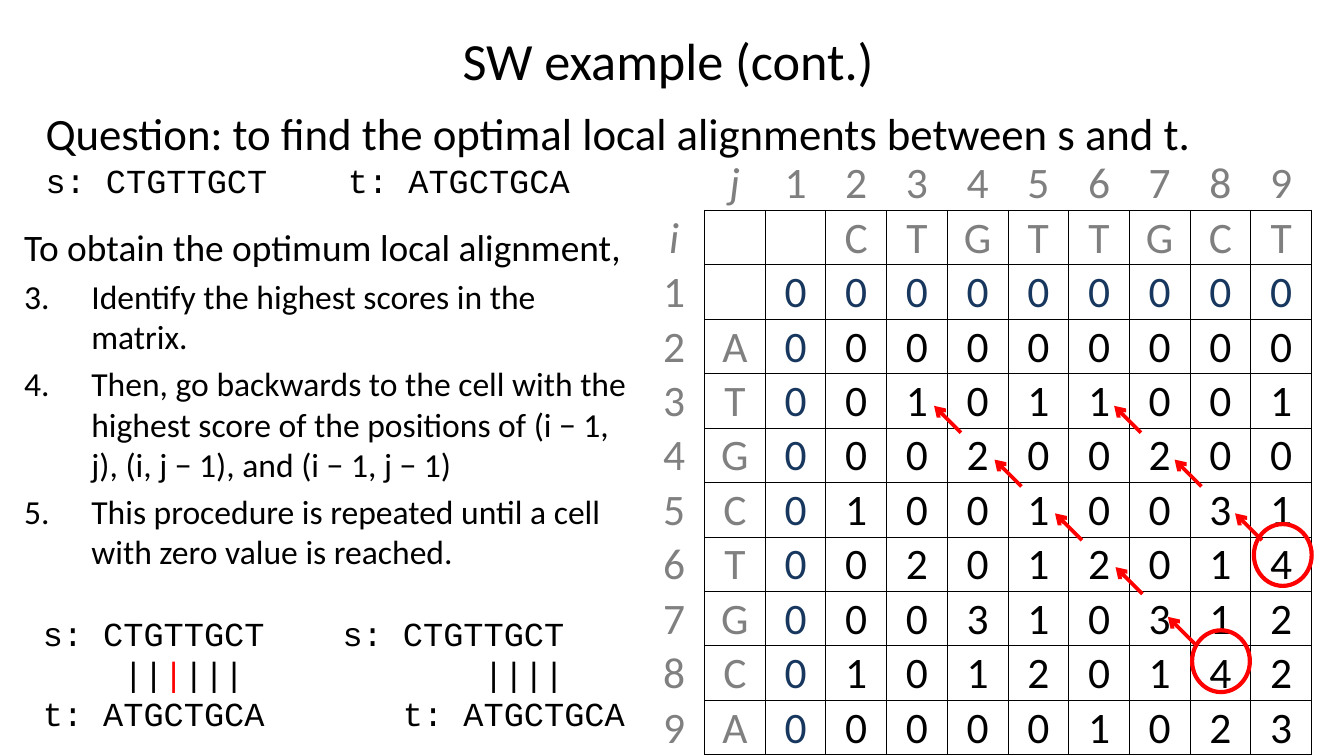
from lxml.etree import SubElement
from pptx import Presentation
from pptx.dml.color import RGBColor
from pptx.enum.shapes import MSO_CONNECTOR, MSO_SHAPE
from pptx.enum.text import MSO_ANCHOR, MSO_AUTO_SIZE, PP_ALIGN
from pptx.oxml.ns import qn
from pptx.util import Inches, Pt

COLORS = {"text": "000000", "index": "7F7F7F", "label": "808080", "zero": "17375E", "trace": "FF0000"}
MONO = "Courier New"
CHAR = 0.15
MATRIX = [
    " j123456789",
    "i  CTGTTGCT",
    "1 000000000",
    "2A000000000",
    "3T001011001",
    "4G000200200",
    "5C010010031",
    "6T002012014",
    "7G000310312",
    "8C010120142",
    "9A000001023",
]
STEPS = [
    "Identify the highest scores in the matrix.",
    "Then, go backwards to the cell with the highest score of the positions of "
    "(i − 1, j), (i, j − 1), and (i − 1, j − 1)",
    "This procedure is repeated until a cell with zero value is reached.",
]


class SlideBuilder:
    """Holds the style and the current slide, and adds each kind of element."""

    def __init__(self, prs):
        self.s = prs.slides.add_slide(prs.slide_layouts[1])

    def place(self, sp, box):
        for name, value in zip(("left", "top", "width", "height"), box):
            setattr(sp, name, Inches(value))

    def run(self, p, text, size, font="Calibri", color="text", italic=False):
        r = p.add_run()
        r.text = text
        for name, value in {"size": Pt(size), "name": font, "italic": italic}.items():
            setattr(r.font, name, value)
        r.font.color.rgb = RGBColor.from_string(COLORS[color])

    def indent(self, p, left, first=0):
        pPr = p._p.get_or_add_pPr()
        pPr.set("marL", str(Inches(left)))
        pPr.set("indent", str(Inches(first)))
        return pPr

    def title(self, text, box):
        sp = self.s.shapes.title
        self.place(sp, box)
        self.run(sp.text_frame.paragraphs[0], text, 28)

    def numbered_body(self, lead, items, start, box):
        sp = self.s.placeholders[1]
        self.place(sp, box)
        tf = sp.text_frame
        tf.auto_size = MSO_AUTO_SIZE.NONE
        p = tf.paragraphs[0]
        SubElement(self.indent(p, 0), qn("a:buNone"))
        self.run(p, lead, 20)
        for item in items:
            p = tf.add_paragraph()
            pPr = self.indent(p, 0.5, -0.5)
            SubElement(pPr, qn("a:buFont"), typeface="+mj-lt")
            SubElement(pPr, qn("a:buAutoNum"), type="arabicPeriod", startAt=str(start))
            self.run(p, item, 18)

    def text_box(self, box, wrap):
        tf = self.s.shapes.add_textbox(*map(Inches, box)).text_frame
        tf.word_wrap = wrap
        tf.auto_size = MSO_AUTO_SIZE.SHAPE_TO_FIT_TEXT
        return tf

    def question(self, text, s_seq, t_seq, box):
        tf = self.text_box(box, True)
        self.run(tf.paragraphs[0], text, 24)
        p = tf.add_paragraph()
        tabs = SubElement(p._p.get_or_add_pPr(), qn("a:tabLst"))
        SubElement(tabs, qn("a:tab"), pos=str(Inches(15 * CHAR)), algn="l")
        self.run(p, f"{s_seq}\t{t_seq}", 18, MONO)

    def alignment(self, lines, box):
        tf = self.text_box(box, False)
        for i, (chars, runs) in enumerate(lines):
            p = tf.add_paragraph() if i else tf.paragraphs[0]
            self.indent(p, chars * CHAR)
            for text, color in runs:
                self.run(p, text, 18, MONO, color)

    def cell_color(self, row, col):
        if row < 2:
            return "index"
        if col < 2:
            return "label"
        return "zero" if row == 2 or col == 2 else "text"

    def borders(self, cell, row, col):
        tcPr = cell._tc.get_or_add_tcPr()
        inside = row > 0 and col > 0
        shown = {"L": inside, "R": row > 0, "T": inside, "B": col > 0}
        for side, visible in shown.items():
            ln = SubElement(tcPr, qn(f"a:ln{side}"), w=str(Pt(0.5)))
            if visible:
                fill = SubElement(ln, qn("a:solidFill"))
                SubElement(fill, qn("a:srgbClr"), val=COLORS["text"])
            else:
                SubElement(ln, qn("a:noFill"))

    def matrix(self, rows, box, row_height):
        n = len(rows[0])
        table = self.s.shapes.add_table(len(rows), n, *map(Inches, box)).table
        table.first_row = table.horz_banding = False
        for column in table.columns:
            column.width = Inches(box[2] / n)
        cell_format = {"margin_left": Inches(0.01), "margin_top": Inches(0.01),
                       "margin_right": Inches(0.01), "margin_bottom": 0,
                       "vertical_anchor": MSO_ANCHOR.MIDDLE}
        for i, row in enumerate(rows):
            table.rows[i].height = Inches(row_height)
            for j, text in enumerate(row):
                cell = table.cell(i, j)
                for name, value in cell_format.items():
                    setattr(cell, name, value)
                self.borders(cell, i, j)
                cell.fill.background()
                if text != " ":
                    p = cell.text_frame.paragraphs[0]
                    p.alignment = PP_ALIGN.CENTER
                    self.run(p, text, 23.3, color=self.cell_color(i, j), italic=text in "ij")

    def stroke(self, sp, width):
        sp.line.color.rgb = RGBColor.from_string(COLORS["trace"])
        sp.line.width = Pt(width)

    def circle(self, left, top):
        sp = self.s.shapes.add_shape(MSO_SHAPE.OVAL, *map(Inches, (left, top, 0.43, 0.46)))
        sp.shadow.inherit = False
        sp.fill.background()
        self.stroke(sp, 2.25)

    def arrow(self, x, y, length=0.2):
        ends = map(Inches, (x, y, x - length, y - length))
        sp = self.s.shapes.add_connector(MSO_CONNECTOR.STRAIGHT, *ends)
        self.stroke(sp, 2)
        SubElement(sp.line._get_or_add_ln(), qn("a:tailEnd"), type="arrow")
        SubElement(sp._element.spPr, qn("a:effectLst"))


def main():
    prs = Presentation()
    prs.slide_width, prs.slide_height = Inches(10), Inches(10 * 9 / 16)
    s_seq, t_seq = "s: CTGTTGCT", "t: ATGCTGCA"
    slide = SlideBuilder(prs)
    slide.title("SW example (cont.)", (0.72, 0.08, 8.5, 0.73))
    slide.numbered_body("To obtain the optimum local alignment,", STEPS, 3, (0.08, 1.62, 4.75, 2.73))
    slide.matrix(MATRIX, (4.79, 1.16, 4.97, 4.36), 0.38)
    slide.question("Question: to find the optimal local alignments between s and t.",
                   s_seq, t_seq, (0.24, 0.74, 8.85, 0.81))
    for left, top in ((8.87, 4.69), (9.33, 3.9)):
        slide.circle(left, top)
    slide.arrow(8.89, 4.79)
    for x, y, count in ((8.5, 4.42, 4), (9.39, 4.02, 3)):
        for k in range(count):
            slide.arrow(x - 0.45 * k, y - 0.4 * k)
    slide.alignment([(0, [(s_seq, "text")]),
                     (4, [("||", "text"), ("|", "trace"), ("|||", "text")]),
                     (0, [(t_seq, "text")])], (0.22, 4.51, 1.87, 1.01))
    slide.alignment([(0, [(s_seq, "text")]),
                     (7, [("||||", "text")]),
                     (3, [(t_seq, "text")])], (2.45, 4.51, 2.32, 1.01))
    prs.save("out.pptx")


if __name__ == "__main__":
    main()
